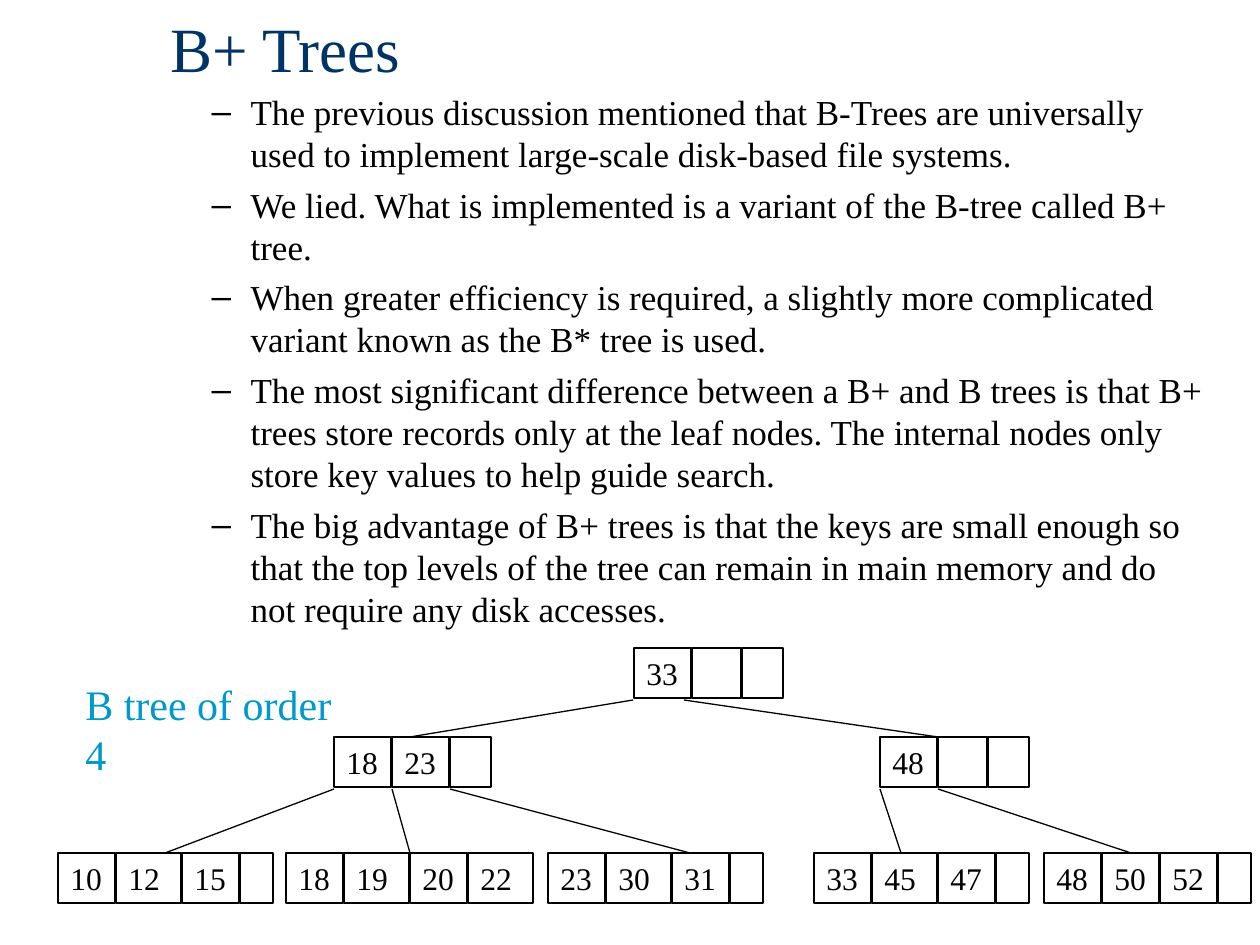
from dataclasses import dataclass
from lxml.etree import SubElement
from pptx import Presentation
from pptx.dml.color import RGBColor as Rgb
from pptx.enum.shapes import MSO_CONNECTOR as Link, MSO_SHAPE as Kind
from pptx.enum.text import MSO_ANCHOR as Anchor, MSO_AUTO_SIZE as Fit, PP_ALIGN as Align
from pptx.oxml.ns import qn
from pptx.util import Emu, Pt


@dataclass(frozen=True)
class Theme:
    font: str = "Times New Roman"
    ink: str = "000000"
    navy: str = "003366"
    cyan: str = "0099CC"
    head: int = 36
    note: int = 24
    body: int = 20
    key: int = 18
    rule: float = 0.75


THEME = Theme()
DPI = 126

POINTS = [
    "The previous discussion mentioned that B-Trees are universally used to "
    "implement large-scale disk-based file systems.",
    "We lied. What is implemented is a variant of the B-tree called B+ tree.",
    "When greater efficiency is required, a slightly more complicated variant "
    "known as the B* tree is used.",
    "The most significant difference between a B+ and B trees is that B+ trees "
    "store records only at the leaf nodes. The internal nodes only store key "
    "values to help guide search.",
    "The big advantage of B+ trees is that the keys are small enough so that the "
    "top levels of the tree can remain in main memory and do not require any "
    "disk accesses.",
]

# Tree geometry: one top per level, cells a pixel apart
TOPS = [648, 737, 853]
HIGH = 50
KEY, WIDE, FREE, END, SLIM = 57, 65, 49, 41, 33

# Level, left edge, keys, cell widths
NODES = [
    (0, 634, ["33", "", ""], [KEY, FREE, END]),
    (1, 334, ["18", "23", ""], [KEY, KEY, END]),
    (1, 880, ["48", "", ""], [KEY, FREE, END]),
    (2, 58, ["10", "12", "15", ""], [KEY, WIDE, KEY, SLIM]),
    (2, 286, ["18", "19", "20", "22"], [KEY, WIDE, KEY, WIDE]),
    (2, 548, ["23", "30", "31", ""], [KEY, WIDE, KEY, SLIM]),
    (2, 814, ["33", "45", "47", ""], [KEY, WIDE, KEY, SLIM]),
    (2, 1044, ["48", "50", "52", ""], [KEY, KEY, KEY, SLIM]),
]

# Parent level, x at the parent, x at the child
EDGES = [
    (0, 633, 410), (0, 684, 938),
    (1, 334, 165), (1, 392, 410), (1, 450, 690),
    (1, 880, 901), (1, 938, 1131),
]


def px(n):
    return Emu(round(n * 914400 / DPI))


def place(shape, *box):
    shape.left, shape.top, shape.width, shape.height = map(px, box)


def style(para, size, color):
    para.alignment = Align.LEFT
    para.font.name = THEME.font
    para.font.size = Pt(size)
    para.font.color.rgb = Rgb.from_string(color)


def add_title(slide, text):
    title = slide.shapes.title
    place(title, 158, 0, 1074, 94)
    frame = title.text_frame
    frame.auto_size = Fit.NONE
    frame.vertical_anchor = Anchor.MIDDLE
    frame.text = text
    style(frame.paragraphs[0], THEME.head, THEME.navy)


def add_list(slide, items):
    body = slide.placeholders[1]
    place(body, 136, 84, 1081, 557)
    frame = body.text_frame
    frame.auto_size = Fit.NONE
    frame.text = "\n".join(items)
    for para in frame.paragraphs:
        para.level = 1
        para.space_before = Pt(5)
        style(para, THEME.body, THEME.ink)
        props = para._p.get_or_add_pPr()
        props.set("marL", str(px(102)))
        props.set("indent", str(px(-39)))
        SubElement(props, qn("a:buChar")).set("char", "–")


def add_cell(slide, text, *box):
    cell = slide.shapes.add_shape(Kind.RECTANGLE, *map(px, box))
    cell.shadow.inherit = False
    cell.fill.background()
    cell.line.color.rgb = Rgb.from_string(THEME.ink)
    cell.line.width = Pt(THEME.rule)
    if text:
        frame = cell.text_frame
        frame.margin_right = 0
        frame.text = text
        style(frame.paragraphs[0], THEME.key, THEME.ink)


def add_node(slide, level, left, keys, widths):
    for key, wide in zip(keys, widths):
        add_cell(slide, key, left, TOPS[level], wide, HIGH)
        left += wide + 1


def add_edge(slide, level, start, end):
    ends = start, TOPS[level] + HIGH + 2, end, TOPS[level + 1]
    edge = slide.shapes.add_connector(Link.STRAIGHT, *map(px, ends))
    edge.line.color.rgb = Rgb.from_string(THEME.ink)
    edge.line.width = Pt(THEME.rule)
    SubElement(edge._element.spPr, qn("a:effectLst"))


def add_label(slide, text, *box):
    frame = slide.shapes.add_textbox(*map(px, box)).text_frame
    frame.word_wrap = False
    frame.text = text
    style(frame.paragraphs[0], THEME.note, THEME.cyan)


def main():
    deck = Presentation()
    deck.slide_width, deck.slide_height = px(1260), px(945)
    slide = deck.slides.add_slide(deck.slide_layouts[1])

    # Heading and points
    add_title(slide, "B+ Trees")
    add_list(slide, POINTS)

    # Example tree
    for node in NODES:
        add_node(slide, *node)
    for edge in EDGES:
        add_edge(slide, *edge)
    add_label(slide, "B tree of order 4", 73, 672, 302, 63)

    deck.save("out.pptx")


if __name__ == "__main__":
    main()
